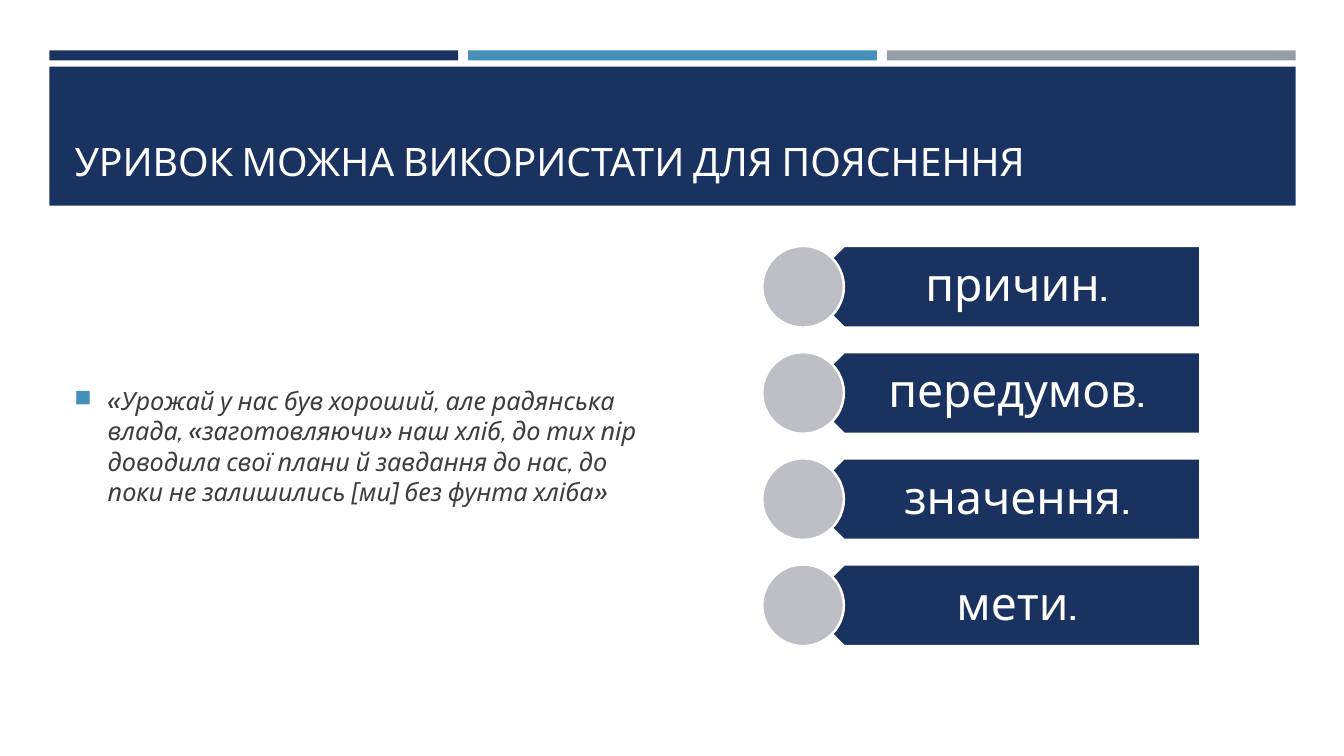
"""Build a slide with a quotation and four things it can explain."""
import pptx
import pptx.dml.color
import pptx.enum.shapes
import pptx.enum.text
import pptx.oxml
import pptx.oxml.ns
import pptx.util
from dataclasses import dataclass

TITLE = "УРИВОК МОЖНА ВИКОРИСТАТИ ДЛЯ ПОЯСНЕННЯ"
QUOTE = (
    "«Урожай у нас був хороший, але радянська влада, «заготовляючи» наш хліб, "
    "до тих пір доводила свої плани й завдання до нас, до поки не залишились "
    "[ми] без фунта хліба»"
)
PURPOSES = ["причин.", "передумов.", "значення.", "мети."]


@dataclass(frozen=True)
class Theme:
    font: str = "Cabin"
    navy: str = "1A3260"
    blue: str = "4590B8"
    grey: str = "969FA7"
    circle: str = "BDBFC5"
    ink: str = "3D3D3D"
    white: str = "FFFFFF"
    title_size: float = 28
    quote_size: float = 18
    purpose_size: float = 33
    outline: float = 1.75
    bullet_percent: int = 92


THEME = Theme()
WIDTH, HEIGHT = 13.33, 7.5
MARGIN, BAR_TOP, BAR_HEIGHT, BAR_GAP = 0.49, 0.5, 0.1, 0.1
BAND = (MARGIN, 0.66, 12.36, 1.38)
BAR_WIDTH = (BAND[2] - 2 * BAR_GAP) / 3
TITLE_BOX = (0.64, 0.8, 12.06, 1.08)
QUOTE_BOX = (0.64, 2.44, 5.93, 3.97)
CIRCLE_LEFT, CIRCLE_SIZE = 7.56, 0.81
ARROW_LEFT, ARROW_WIDTH = CIRCLE_LEFT + CIRCLE_SIZE / 2, 3.94
LABEL_LEFT, LABEL_WIDTH = 8.17, 3.74
ROW_PITCH = (QUOTE_BOX[3] - CIRCLE_SIZE) / (len(PURPOSES) - 1)
LABEL_INSETS = (0.36, 0.14, 0.26, 0.14)
TEXT_INSETS = (0.1, 0.05, 0.1, 0.05)
QUOTE_INDENT = 0.33

ANCHOR = pptx.enum.text.MSO_ANCHOR
ALIGN = pptx.enum.text.PP_ALIGN
SHAPE = pptx.enum.shapes.MSO_SHAPE


def inches(values):
    return [pptx.util.Inches(value) for value in values]


def color(value):
    return pptx.dml.color.RGBColor.from_string(value)


def apply(target, formats):
    for name, value in formats.items():
        setattr(target, name, value)


def add_block(slide, kind, box, fill, outlined=False):
    shape = slide.shapes.add_shape(kind, *inches(box))
    shape.shadow.inherit = False
    shape.fill.solid()
    shape.fill.fore_color.rgb = color(fill)
    if outlined:
        shape.line.color.rgb = color(THEME.white)
        shape.line.width = pptx.util.Pt(THEME.outline)
    else:
        shape.line.fill.background()
    return shape


def add_bullet(paragraph):
    properties = paragraph._p.get_or_add_pPr()
    indent = pptx.util.Inches(QUOTE_INDENT)
    properties.set("marL", str(indent))
    properties.set("indent", str(-indent))
    namespace = pptx.oxml.ns.nsdecls("a")
    for markup in (
        f'<a:buClr {namespace}><a:srgbClr val="{THEME.blue}"/></a:buClr>',
        f'<a:buSzPct {namespace} val="{THEME.bullet_percent * 1000}"/>',
        f'<a:buChar {namespace} char="■"/>',
    ):
        properties.append(pptx.oxml.parse_xml(markup))


def write(shape, text, size, ink, anchor, alignment=ALIGN.LEFT,
          insets=TEXT_INSETS, spacing=1.0, italic=False, bullet=False):
    frame = shape.text_frame
    left, top, right, bottom = inches(insets)
    apply(frame, {
        "text": text, "word_wrap": True, "vertical_anchor": anchor,
        "auto_size": pptx.enum.text.MSO_AUTO_SIZE.NONE,
        "margin_left": left, "margin_top": top,
        "margin_right": right, "margin_bottom": bottom,
    })
    paragraph = frame.paragraphs[0]
    apply(paragraph, {"alignment": alignment, "line_spacing": spacing})
    if bullet:
        add_bullet(paragraph)
    font = paragraph.runs[0].font
    apply(font, {"name": THEME.font, "size": pptx.util.Pt(size), "italic": italic})
    font.color.rgb = color(ink)


def add_header(slide):
    for column, fill in enumerate((THEME.navy, THEME.blue, THEME.grey)):
        left = MARGIN + column * (BAR_WIDTH + BAR_GAP)
        add_block(slide, SHAPE.RECTANGLE, (left, BAR_TOP, BAR_WIDTH, BAR_HEIGHT), fill)
    band = add_block(slide, SHAPE.RECTANGLE, BAND, THEME.navy)
    title = slide.shapes.title
    apply(title, dict(zip(("left", "top", "width", "height"), inches(TITLE_BOX))))
    write(title, TITLE, THEME.title_size, THEME.white, ANCHOR.BOTTOM)
    band.element.addnext(title.element)


def add_purpose(slide, row, text):
    top = QUOTE_BOX[1] + row * ROW_PITCH
    arrow = add_block(slide, SHAPE.PENTAGON,
                      (ARROW_LEFT, top, ARROW_WIDTH, CIRCLE_SIZE), THEME.navy, True)
    arrow.rotation = 180
    label = slide.shapes.add_textbox(*inches((LABEL_LEFT, top, LABEL_WIDTH, CIRCLE_SIZE)))
    write(label, text, THEME.purpose_size, THEME.white, ANCHOR.MIDDLE,
          ALIGN.CENTER, LABEL_INSETS, spacing=0.9)
    add_block(slide, SHAPE.OVAL,
              (CIRCLE_LEFT, top, CIRCLE_SIZE, CIRCLE_SIZE), THEME.circle, True)


def main():
    presentation = pptx.Presentation()
    presentation.slide_width, presentation.slide_height = inches((WIDTH, HEIGHT))
    slide = presentation.slides.add_slide(presentation.slide_layouts[5])
    add_header(slide)
    quote = slide.shapes.add_textbox(*inches(QUOTE_BOX))
    write(quote, QUOTE, THEME.quote_size, THEME.ink, ANCHOR.MIDDLE,
          italic=True, bullet=True)
    for row, text in enumerate(PURPOSES):
        add_purpose(slide, row, text)
    presentation.save("out.pptx")


if __name__ == "__main__":
    main()
